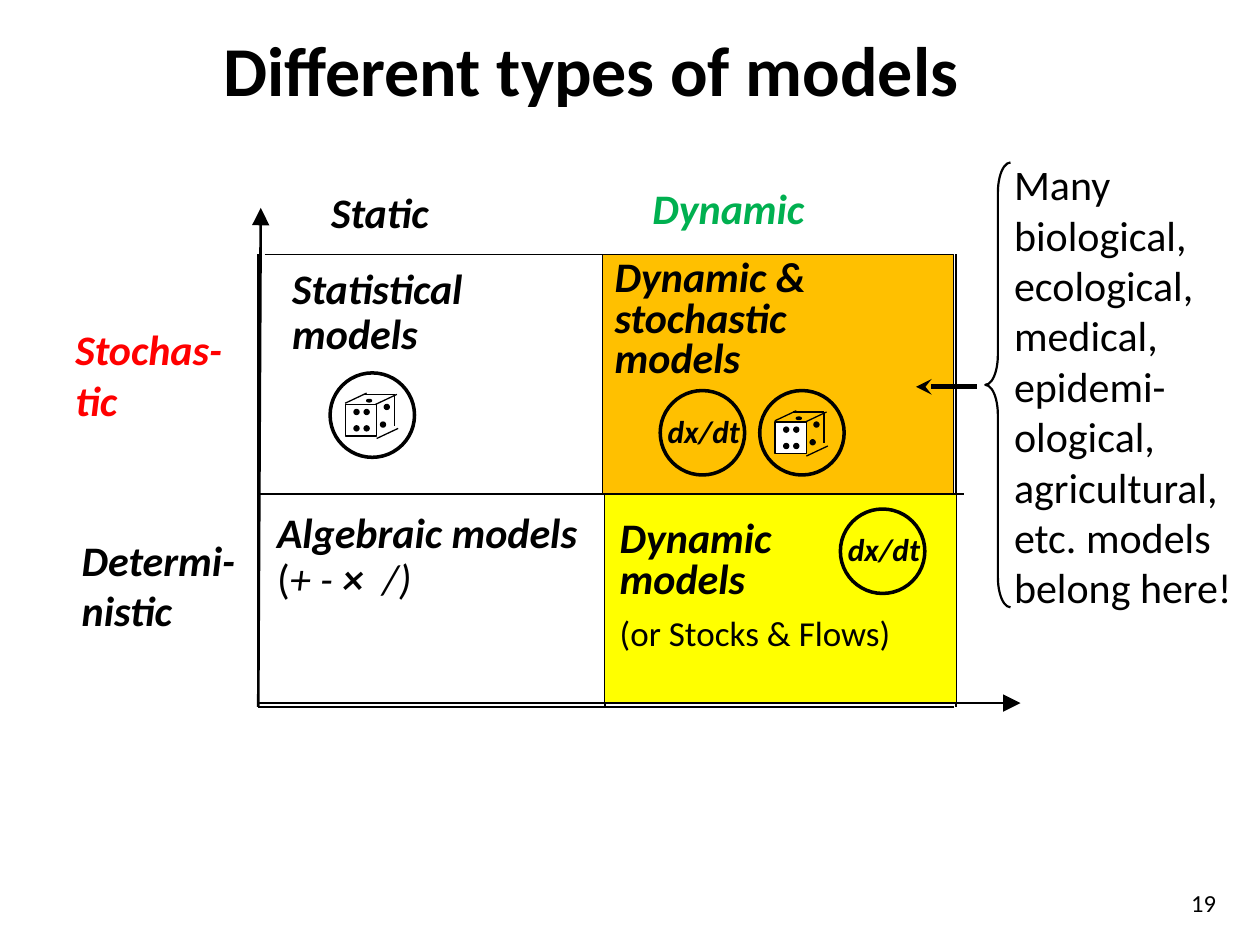
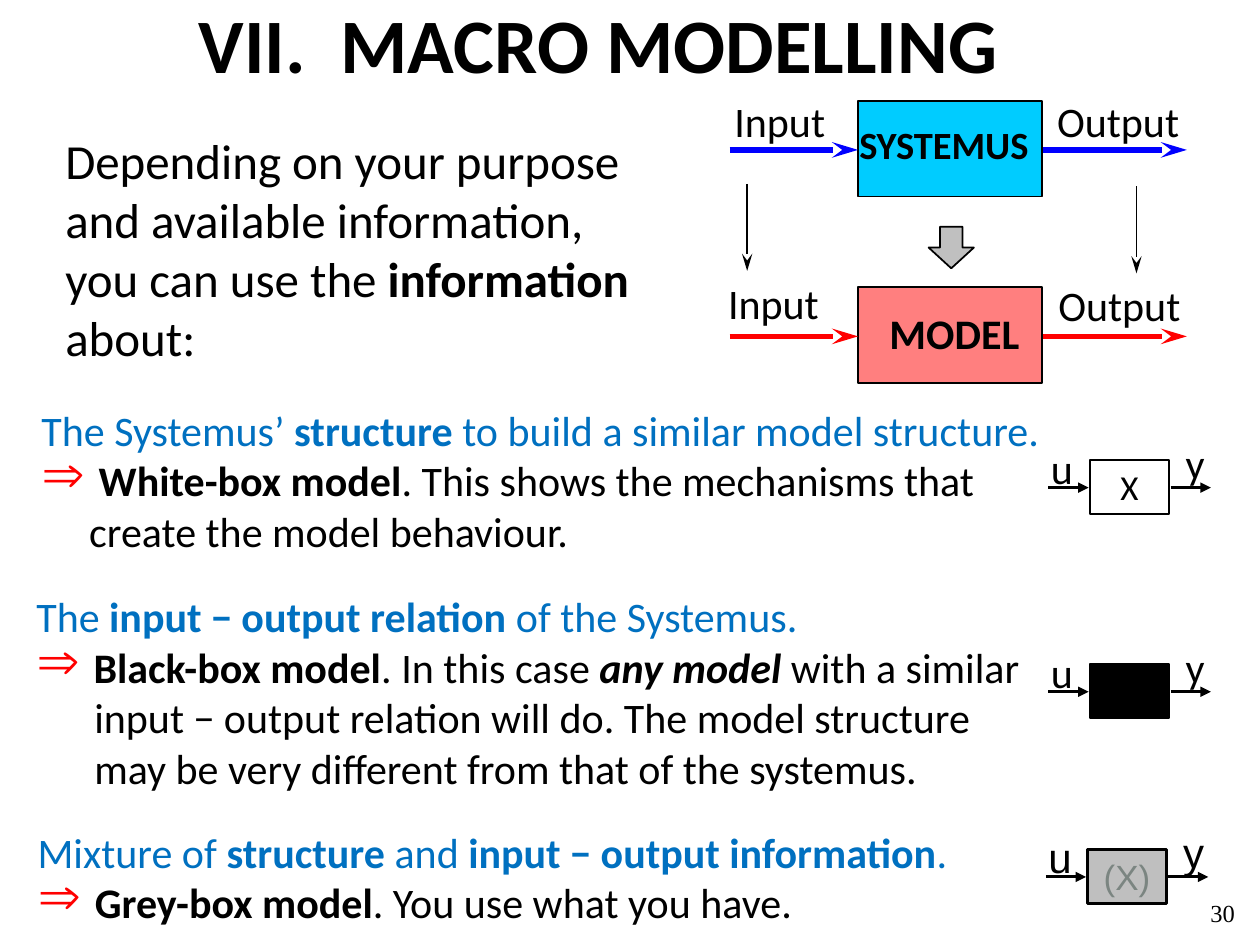
from dataclasses import dataclass

from lxml import etree
from pptx import Presentation
from pptx.dml.color import RGBColor
from pptx.enum.shapes import MSO_CONNECTOR, MSO_SHAPE
from pptx.enum.text import MSO_ANCHOR, PP_ALIGN
from pptx.oxml.ns import qn
from pptx.util import Inches, Pt

LEFT, CENTER, RIGHT = PP_ALIGN.LEFT, PP_ALIGN.CENTER, PP_ALIGN.RIGHT
TOP, MIDDLE, BOTTOM = MSO_ANCHOR.TOP, MSO_ANCHOR.MIDDLE, MSO_ANCHOR.BOTTOM
RECTANGLE, OVAL = MSO_SHAPE.RECTANGLE, MSO_SHAPE.OVAL
BRACE, DOWN_ARROW = MSO_SHAPE.LEFT_BRACE, MSO_SHAPE.DOWN_ARROW
STRAIGHT = MSO_CONNECTOR.STRAIGHT

SLIDE_WIDTH, SLIDE_HEIGHT = Inches(10), Inches(7.5)
COLUMN, ROW = SLIDE_WIDTH / 10, SLIDE_HEIGHT / 7.5


@dataclass(frozen=True)
class Theme:
    font: str = "Calibri"
    symbol_font: str = "Arial"
    number_font: str = "Times New Roman"
    black: str = "000000"
    white: str = "FFFFFF"
    red: str = "FF0000"
    green: str = "00B050"
    orange: str = "FFC000"
    yellow: str = "FFFF00"
    cyan: str = "00CCFF"
    blue: str = "0000FF"
    heading_blue: str = "0070C0"
    arrow_grey: str = "C0C0C0"
    box_grey: str = "BFBFBF"
    symbol_grey: str = "7B8581"
    title: int = 40
    section_title: int = 44
    lead: int = 28
    body: int = 24
    name: int = 22
    small: int = 20
    formula: int = 18
    number: int = 14


THEME = Theme()
PADDING = (0.1, 0.05)


@dataclass(frozen=True)
class Paragraph:
    """Runs are plain strings or (text, flags), with flags from "b" and "i"."""
    runs: tuple
    size: int = THEME.body
    color: str = THEME.black
    font: str = THEME.font
    style: str = ""
    align: PP_ALIGN = LEFT
    spacing: float = 1
    before: int = 0
    margin: float = 0
    bullet: bool = False


def line_of(text, **options):
    return Paragraph((text,), **options)


def add_bullet(paragraph):
    properties = paragraph._p.get_or_add_pPr()
    properties.set("indent", properties.get("marL").join(("-", "")))
    color = etree.SubElement(properties, qn("a:buClr"))
    etree.SubElement(color, qn("a:srgbClr"), val=THEME.red)
    etree.SubElement(properties, qn("a:buSzPct"), val="130000")
    etree.SubElement(properties, qn("a:buChar"), char="⇒")


def write(frame, paragraphs, anchor=TOP, wrap=True, padding=PADDING):
    frame.word_wrap = wrap
    frame.vertical_anchor = anchor
    frame.margin_left = frame.margin_right = int(padding[0] * COLUMN)
    frame.margin_top = frame.margin_bottom = int(padding[1] * ROW)
    for index, item in enumerate(paragraphs):
        paragraph = frame.add_paragraph() if index else frame.paragraphs[0]
        paragraph.alignment = item.align
        if item.spacing != 1:
            paragraph.line_spacing = item.spacing
        if item.before:
            paragraph.space_before = Pt(item.before)
        if item.margin:
            paragraph._p.get_or_add_pPr().set("marL", str(int(item.margin * COLUMN)))
        if item.bullet:
            add_bullet(paragraph)
        font = paragraph.font
        font.name, font.size = item.font, Pt(item.size)
        font.color.rgb = RGBColor.from_string(item.color)
        font.bold, font.italic = "b" in item.style, "i" in item.style
        for part in item.runs:
            text, flags = (part, "") if isinstance(part, str) else part
            run = paragraph.add_run()
            run.text = text
            if flags:
                run.font.bold, run.font.italic = "b" in flags, "i" in flags


@dataclass
class Region:
    """A place on a slide; everything drawn in it is measured from its corner."""
    slide: object
    left: float = 0
    top: float = 0

    def inner(self, left, top):
        return Region(self.slide, self.left + left, self.top + top)

    def point(self, x, y):
        return int((self.left + x) * COLUMN), int((self.top + y) * ROW)

    def box(self, left, top, width, height):
        return *self.point(left, top), int(width * COLUMN), int(height * ROW)

    def text(self, box, *paragraphs, **options):
        text_box = self.slide.shapes.add_textbox(*self.box(*box))
        write(text_box.text_frame, paragraphs, **options)

    def shape(self, kind, box, fill=None, weight=0.75, opacity=100):
        shape = self.slide.shapes.add_shape(kind, *self.box(*box))
        shape.shadow.inherit = False
        shape.line.color.rgb = RGBColor.from_string(THEME.black)
        shape.line.width = Pt(weight)
        if fill is None:
            shape.fill.background()
            return shape
        shape.fill.solid()
        shape.fill.fore_color.rgb = RGBColor.from_string(fill)
        if opacity < 100:
            color = shape._element.spPr.find(".//" + qn("a:srgbClr"))
            etree.SubElement(color, qn("a:alpha"), val=str(opacity * 1000))
        return shape

    def line(self, start, end, weight=1, color=THEME.black, head=None):
        """head is the (type, width, length) of an arrowhead at the end."""
        connector = self.slide.shapes.add_connector(
            STRAIGHT, *self.point(*start), *self.point(*end))
        connector.line.color.rgb = RGBColor.from_string(color)
        connector.line.width = Pt(weight)
        if head:
            kind, width, length = head
            etree.SubElement(connector.line._get_or_add_ln(), qn("a:tailEnd"),
                             type=kind, w=width, len=length)
        etree.SubElement(connector._element.spPr, qn("a:effectLst"))


AXIS_HEAD = ("triangle", "lg", "lg")
FLOW_HEAD = ("triangle", "med", "med")
POINTER_HEAD = ("stealth", "med", "med")
SHARP_HEAD = ("stealth", "med", "lg")


def page_number(region, number, font=THEME.font):
    region.text((0, 0, 0.42, 0.5),
                line_of(number, size=THEME.number, font=font, align=RIGHT))


def title(region, box, text, size, align, **options):
    region.text(box, line_of(text, size=size, style="b", align=align), **options)


def badge(region):
    region.shape(OVAL, (0, 0, 0.67, 0.67), weight=2)


def die_badge(region):
    badge(region)
    region.shape(RECTANGLE, (0.12, 0.25, 0.25, 0.25), THEME.white)
    for start, end in (((0.51, 0.17), (0.51, 0.42)), ((0.51, 0.17), (0.26, 0.17)),
                       ((0.12, 0.24), (0.29, 0.16)), ((0.36, 0.25), (0.53, 0.17)),
                       ((0.37, 0.52), (0.54, 0.44))):
        region.line(start, end, 0.75)
    front = [(x, y) for y in (0.42, 0.29) for x in (0.19, 0.27)]
    for x, y in front + [(0.4, 0.39), (0.43, 0.25)]:
        region.shape(OVAL, (x, y, 0.04, 0.04), THEME.black)
    region.shape(OVAL, (0.29, 0.21, 0.04, 0.02), THEME.black)


def derivative_badge(region):
    badge(region)
    region.text((-0.04, 0.12, 0.79, 0.4),
                line_of("dx/dt", size=THEME.formula, style="bi"), wrap=False)


def model_matrix(region):
    middle, right, split, bottom = 2.75, 5.54, 1.9, 3.59
    for x in (0, middle, right):
        region.line((x, 0), (x, bottom))
    for y, start, end in ((0, 0.05, 5.52), (split, 0, 5.6), (bottom, 0, 5.52)):
        region.line((start, y), (end, y))

    for box, text, color in (((-1.55, 0.5, 1.63, 0.91), "Stochas-tic", THEME.red),
                             ((-1.5, 2.17, 1.58, 0.91), "Determi-nistic", THEME.black),
                             ((0.48, -0.59, 1.62, 0.51), "Static", THEME.black),
                             ((3.03, -0.62, 2.17, 0.51), "Dynamic", THEME.green)):
        region.text(box, line_of(text, color=color, style="bi"))

    region.text((0.17, 0.06, 2.25, 1.35),
                line_of("Statistical models", style="bi", spacing=0.9))
    die_badge(region.inner(0.57, 0.94))

    region.text((0.05, 2, 2.72, 0.83), Paragraph(
        (("Algebraic models ", "bi"), "(", ("+ - ", "i"), ("×", "bi"), ("  /)", "i")),
        spacing=0.9))

    stochastic = region.shape(RECTANGLE, (2.73, 0, 2.79, split), THEME.orange)
    write(stochastic.text_frame, [line_of(text, style="bi", spacing=0.8)
                                  for text in ("Dynamic &", "stochastic", "models")])
    derivative_badge(region.inner(3.19, 1.08))
    die_badge(region.inner(3.98, 1.08))

    region.shape(RECTANGLE, (middle, split, right - middle, 1.66), THEME.yellow)
    region.text((2.77, 2.07, 2.63, 1.19),
                line_of("Dynamic", style="bi", spacing=0.8),
                line_of("models", style="bi", spacing=0.8),
                line_of("(or Stocks & Flows)", size=THEME.small, spacing=0.9, before=8))
    derivative_badge(region.inner(4.62, 2.02))

    region.line((0, bottom), (0.02, -0.37), 1.5, head=AXIS_HEAD)
    region.line((0, 3.56), (6.05, 3.56), 1.5, head=AXIS_HEAD)


def belonging_note(region):
    region.text((0.68, 0, 2.17, 3.74), line_of("Many biological,"),
                line_of("ecological, medical,"),
                line_of("epidemi-ological, agricultural, etc. models belong here!"),
                anchor=MIDDLE)
    brace = region.shape(BRACE, (0.55, 0.1, 0.2, 3.53), weight=1.25)
    brace.adjustments[0], brace.adjustments[1] = 1.194, 0.5
    region.line((0.48, 1.88), (0, 1.88), 3, head=POINTER_HEAD)


def stage(region, name, fill, opacity, flow_color, input_at, output_at):
    """A box with its name, an arrow in and an arrow out."""
    region.shape(RECTANGLE, (1.13, 0, 1.46, 0.76), fill, 1, opacity)
    for start, end in ((0.11, 1.13), (2.6, 3.74)):
        region.line((start, 0.39), (end, 0.39), 3, flow_color, SHARP_HEAD)
    region.text((*input_at, 0.96, 0.52), line_of("Input"))
    region.text((*output_at, 1.16, 0.52), line_of("Output"), padding=(0, 0.05))
    name_left, name_size = name[1:]
    region.text((name_left, 0.11, 1.4, 0.5),
                line_of(name[0], size=name_size, style="b"), padding=(0, 0.05))


def system_to_model(region):
    stage(region, ("SYSTEMUS", 1.14, THEME.name), THEME.cyan, 100, THEME.blue,
          (0.05, -0.09), (2.71, -0.09))
    stage(region.inner(0, 1.48), ("MODEL", 1.38, THEME.body), THEME.red, 50, THEME.red,
          (0, -0.13), (2.72, -0.11))
    region.shape(DOWN_ARROW, (1.69, 1, 0.36, 0.33), THEME.arrow_grey, 1)
    for x, y in ((0.25, 0.66), (3.34, 0.68)):
        region.line((x, y), (x, y + 0.69), head=SHARP_HEAD)


def box_model(region, fill=None, symbol=None, font=THEME.font):
    for start in (0.06, 1.03):
        region.line((start, 0.36), (start + 0.32, 0.36), 1.75, head=FLOW_HEAD)
    box = region.shape(RECTANGLE, (0.39, 0.14, 0.63, 0.43), fill, 1.5)
    if symbol:
        write(box.text_frame, [symbol], MIDDLE, padding=(0, 0))
    for text, x, y in (("u", 0.08, 0), ("y", 1.15, -0.04)):
        region.text((x, y, 0.3, 0.45), line_of(text, font=font),
                    wrap=False, padding=(0, 0))


def model_choice(region, width, height, heading, *conclusion):
    """A blue heading, a bulleted conclusion and any indented lines after it."""
    bulleted, *continued = conclusion
    region.text((0, 0, width, height), Paragraph(heading, color=THEME.heading_blue),
                Paragraph(bulleted, margin=0.38, bullet=True),
                *(line_of(text, margin=0.46) for text in continued))


def models_slide(slide):
    page = Region(slide)
    page_number(page.inner(9.33, 7), "19")
    title(page, (0.33, 0.08, 8.72, 0.85), "Different types of models",
          THEME.title, CENTER, anchor=BOTTOM)
    model_matrix(page.inner(2.05, 2.02))
    belonging_note(page.inner(7.27, 1.19))


def macro_slide(slide):
    page = Region(slide)
    title(page, (1.48, -0.08, 8, 0.84), "VII.  MACRO MODELLING",
          THEME.section_title, LEFT)
    system_to_model(page.inner(5.68, 0.8))
    page.text((0.42, 0.99, 4.83, 1.99), Paragraph(
        ("Depending on your purpose and available information, you can use the ",
         ("information", "b"), " about:"), size=THEME.lead))
    page_number(page.inner(9.48, 7.08), "30", THEME.number_font)

    model_choice(page.inner(0.23, 3.16), 8.15, 1.31,
                 ("The Systemus’ ", ("structure", "b"),
                  " to build a similar model structure."),
                 ((" White-box model", "b"),
                  ". This shows the mechanisms that create the model behaviour."))
    box_model(page.inner(8.26, 3.51), symbol=line_of("X", size=THEME.small, align=CENTER))

    model_choice(page.inner(0.19, 4.64), 8.06, 1.85,
                 ("The ", ("input − output relation", "b"), " of the Systemus."),
                 ((" Black-box model", "b"), ". In this case ",
                  ("any model ", "bi"), "with a similar"),
                 "input − output relation will do. The model structure",
                 "may be very different from that of the systemus.")
    box_model(page.inner(8.26, 5.13), THEME.black)

    model_choice(page.inner(0.2, 6.51), 7.52, 0.91,
                 ("Mixture of ", ("structure", "b"), " and ",
                  ("input − output information", "b"), "."),
                 ((" Grey-box model", "b"), ". You use what you have."))
    box_model(page.inner(8.24, 6.6), THEME.box_grey,
              line_of("(X)", size=THEME.small, color=THEME.symbol_grey,
                      font=THEME.symbol_font, align=CENTER), THEME.symbol_font)


def main():
    presentation = Presentation()
    presentation.slide_width, presentation.slide_height = SLIDE_WIDTH, SLIDE_HEIGHT
    blank = presentation.slide_layouts[6]
    for build in (models_slide, macro_slide):
        build(presentation.slides.add_slide(blank))
    presentation.save("out.pptx")


if __name__ == "__main__":
    main()
